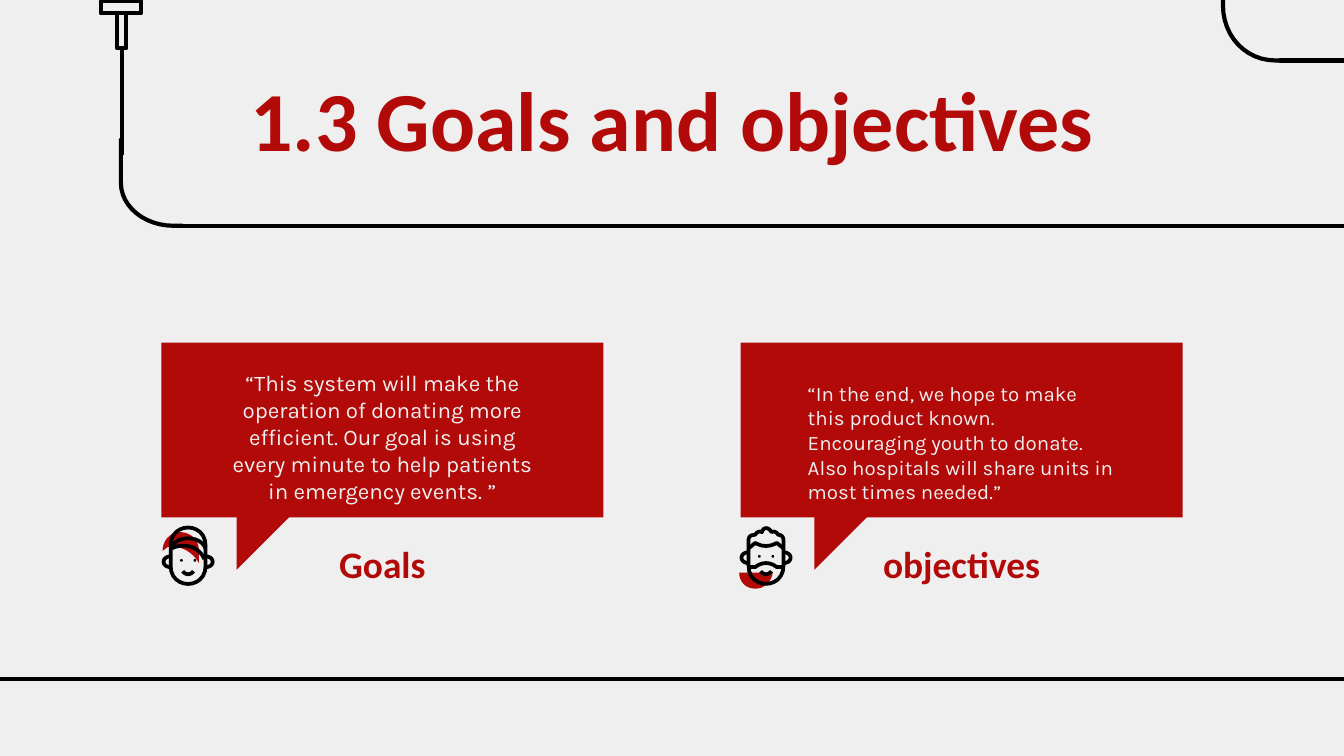
from lxml.etree import SubElement
from pptx import Presentation
from pptx.dml.color import RGBColor
from pptx.enum.shapes import MSO_CONNECTOR, MSO_SHAPE
from pptx.enum.text import MSO_ANCHOR, PP_ALIGN
from pptx.oxml.ns import qn
from pptx.util import Inches, Pt


class Theme:
    paper = RGBColor(0xEF, 0xEF, 0xEF)
    red = RGBColor(0xB2, 0x09, 0x09)
    ink = RGBColor(0, 0, 0)
    head, body = "Calibri", "Karla"
    title, label = Pt(45), Pt(20)
    goal, aim = Pt(12), Pt(11)
    wire, pen = Pt(2.25), Pt(2)


deck = Presentation()
deck.slide_width = Inches(10)
deck.slide_height = Inches(10) * 9 // 16
slide = deck.slides.add_slide(deck.slide_layouts[5])
slide.background.fill.solid()
slide.background.fill.fore_color.rgb = Theme.paper
shapes = slide.shapes


def trace(start, steps, pen=None, fill=None):
    """Draw an outline; a step is a point or a cubic curve of six numbers."""
    points, last = [], start
    for step in steps:
        if len(step) == 2:
            points.append(step)
        else:
            ax, ay, bx, by, cx, cy = step
            for i in range(1, 13):
                t = i / 12
                u = 1 - t
                points.append((
                    u**3 * last[0] + 3 * u*u*t * ax + 3 * u*t*t * bx + t**3 * cx,
                    u**3 * last[1] + 3 * u*u*t * ay + 3 * u*t*t * by + t**3 * cy,
                ))
        last = step[-2:]
    pencil = shapes.build_freeform(Inches(start[0]), Inches(start[1]))
    pencil.add_line_segments([(Inches(x), Inches(y)) for x, y in points],
                             close=fill is not None)
    form = pencil.convert_to_shape()
    form.shadow.inherit = False
    if fill is None:
        form.fill.background()
    else:
        form.fill.solid()
        form.fill.fore_color.rgb = fill
    if pen is None:
        form.line.fill.background()
    else:
        form.line.color.rgb = Theme.ink
        form.line.width = pen


def write(shape, text, font, size, color, align, side, anchor=MSO_ANCHOR.TOP):
    frame = shape.text_frame
    frame.text = text
    frame.word_wrap = True
    frame.vertical_anchor = anchor
    frame.margin_left = frame.margin_right = Inches(side)
    frame.margin_top = frame.margin_bottom = Inches(0.1)
    line = frame.paragraphs[0]
    line.alignment = align
    style = line.runs[0].font
    style.name, style.size, style.color.rgb = font, size, color
    style.bold = font == Theme.head


# Title
title = shapes.title
title.left, title.top = Inches(0.78), Inches(0.4)
title.width, title.height = Inches(8.44), Inches(0.9)
write(title, "1.3 Goals and objectives", Theme.head, Theme.title, Theme.red,
      PP_ALIGN.CENTER, 0.1)

# Tubes and the drip clamp
trace((9.1, -0.36), [(9.1, 0.04), (9.1, 0.27, 9.27, 0.45, 9.49, 0.45),
                     (9.56, 0.45)], Theme.wire)
trace((0.9, 1.03), [(0.9, 1.36), (0.9, 1.54, 1.08, 1.68, 1.29, 1.68),
                    (1.36, 1.68)], Theme.wire)
for box in [(0.75, 0.01, 0.3, 0.09), (0.87, 0.1, 0.07, 0.26)]:
    clamp = shapes.add_shape(MSO_SHAPE.RECTANGLE, *map(Inches, box))
    clamp.shadow.inherit = False
    clamp.fill.background()
    clamp.line.color.rgb = Theme.ink
    clamp.line.width = Theme.wire
tubes = [(9.52, 0.45, 10.85, 0.45), (-0.05, 5.05, 10.02, 5.05),
         (1.32, 1.68, 10.01, 1.68), (0.9, 1.15, 0.9, 0.36)]
for ends in tubes:
    tube = shapes.add_connector(MSO_CONNECTOR.STRAIGHT, *map(Inches, ends))
    tube.line.color.rgb = Theme.ink
    tube.line.width = Theme.wire
    SubElement(tube._element.spPr, qn("a:effectLst"))
tube.end_connect(clamp, 2)
tube.begin_x = tube.end_x

# Speech bubbles
bubbles = [
    (1.2, 1.76, "Goals", Theme.goal, PP_ALIGN.CENTER,
     "“This system will make the operation of donating more efficient. "
     "Our goal is using every minute to help patients in emergency events. ”"),
    (5.51, 6.06, "objectives", Theme.aim, PP_ALIGN.LEFT,
     "“In the end, we hope to make this product known. Encouraging youth to "
     "donate. Also hospitals will share units in most times needed.”"),
]
for left, tip, name, size, align, quote in bubbles:
    label = shapes.add_textbox(Inches(left), Inches(3.93),
                               Inches(3.29), Inches(0.42))
    write(label, name, Theme.head, Theme.label, Theme.red,
          PP_ALIGN.CENTER, 0.2)
    bubble = shapes.add_shape(MSO_SHAPE.RECTANGLE, Inches(left), Inches(2.55),
                              Inches(3.29), Inches(1.3))
    write(bubble, quote, Theme.body, size, Theme.paper, align, 0.5,
          MSO_ANCHOR.BOTTOM)
    tail = shapes.add_shape(MSO_SHAPE.RIGHT_TRIANGLE, Inches(tip),
                            Inches(3.84), Inches(0.4), Inches(0.4))
    tail.rotation = 90
    for part in (bubble, tail):
        part.shadow.inherit = False
        part.fill.solid()
        part.fill.fore_color.rgb = Theme.red
        part.line.fill.background()

# Red hair and beard
trace((1.21, 4.1), [(1.21, 4.02, 1.27, 3.96, 1.34, 3.96),
                    (1.42, 3.96, 1.48, 4.02, 1.48, 4.09), (1.48, 4.19),
                    (1.44, 4.12, 1.37, 4.07, 1.29, 4.07), (1.25, 4.07)],
      fill=Theme.red)
trace((5.5, 4.26), [(5.75, 4.26), (5.74, 4.33, 5.69, 4.38, 5.62, 4.38),
                    (5.55, 4.38, 5.5, 4.33, 5.5, 4.26)], fill=Theme.red)

# Head outlines, hairlines and moustache
strokes = [
    ((1.27, 4.21), [(1.27, 4.06), (1.27, 3.88, 1.53, 3.88, 1.53, 4.06),
                    (1.53, 4.21), (1.53, 4.39, 1.27, 4.39, 1.27, 4.21)]),
    ((1.27, 4.08), [(1.31, 3.98, 1.49, 3.98, 1.53, 4.08)]),
    ((1.28, 4.08), [(1.36, 4.04, 1.48, 4.06, 1.52, 4.16)]),
    ((5.57, 4.21), [(5.57, 4.02), (5.57, 3.99, 5.59, 3.98, 5.62, 3.98),
                    (5.63, 3.96, 5.65, 3.95, 5.67, 3.96),
                    (5.68, 3.92, 5.72, 3.92, 5.74, 3.96),
                    (5.76, 3.95, 5.78, 3.96, 5.79, 3.98),
                    (5.82, 3.98, 5.83, 4, 5.83, 4.02), (5.83, 4.21),
                    (5.83, 4.39, 5.57, 4.39, 5.57, 4.21)]),
    ((5.57, 4.08), [(5.62, 4.04), (5.67, 4.07, 5.73, 4.07, 5.78, 4.04),
                    (5.83, 4.08)]),
    ((5.57, 4.22), [(5.62, 4.22), (5.67, 4.18, 5.73, 4.18, 5.78, 4.22),
                    (5.83, 4.22)]),
]
for start, steps in strokes:
    trace(start, steps, Theme.pen)

# Ears, eyes and mouth of both faces
for mid, ear in [(1.4, 4.14), (5.7, 4.11)]:
    for side in (-1, 1):
        root, rim = mid + side * 0.13, mid + side * 0.2
        trace((root, ear), [(rim, ear, rim, ear + 0.08, root, ear + 0.08)],
              Theme.pen)
        eye = shapes.add_shape(MSO_SHAPE.OVAL, Inches(mid + side * 0.05 - 0.01),
                               Inches(ear + 0.02), Inches(0.02), Inches(0.02))
        eye.shadow.inherit = False
        eye.fill.solid()
        eye.fill.fore_color.rgb = Theme.ink
        eye.line.fill.background()
    trace((mid - 0.04, 4.25),
          [(mid - 0.02, 4.28, mid + 0.02, 4.28, mid + 0.04, 4.25)], Theme.pen)

deck.save("out.pptx")
